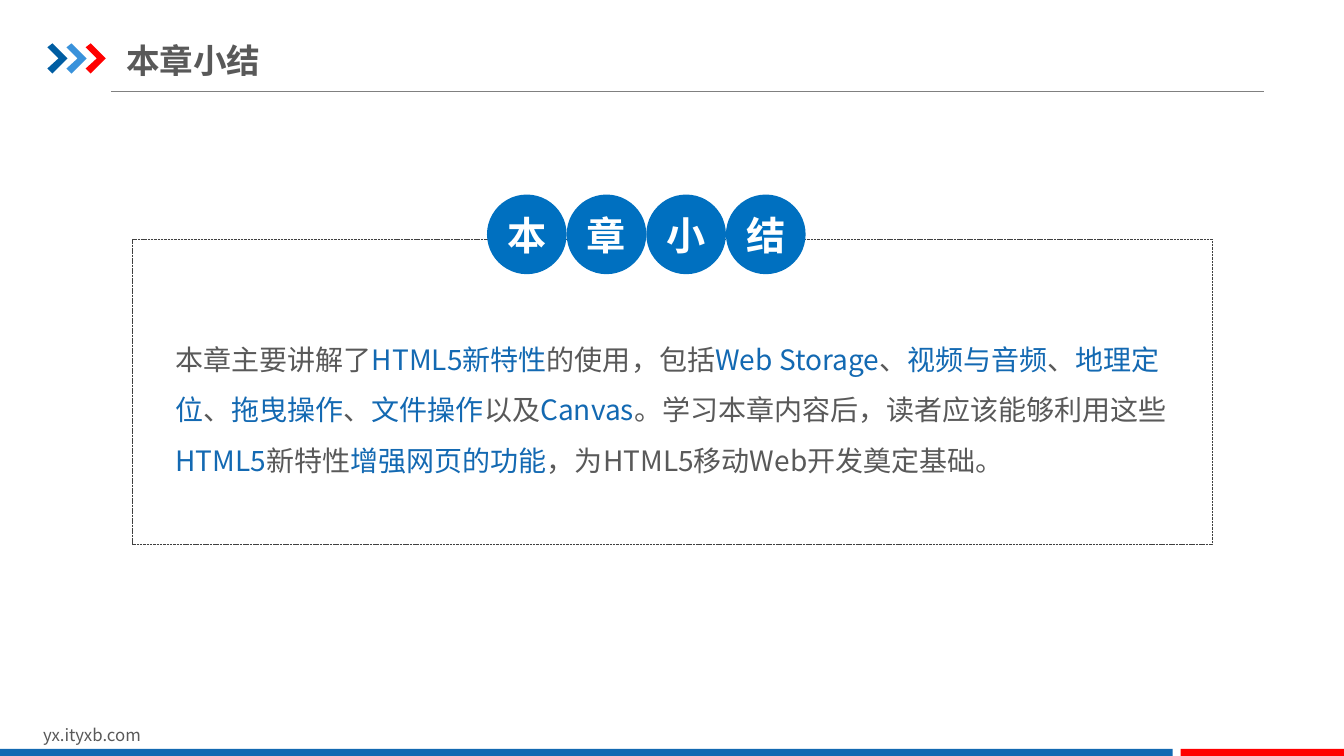
from pptx import Presentation
from pptx import util as u
from pptx.dml import color
from pptx.enum import dml, shapes, text
from pptx.oxml import ns
from lxml import etree

THEME = {
    "font": "Noto Sans CJK SC",
    "colors": {
        "text": "595959", "accent": "1369B2", "circle": "0070C0", "red": "FF0000",
        "navy": "005DA2", "sky": "3992DB", "rule": "808080", "border": "404040",
        "white": "FFFFFF",
    },
    "sizes": {"title": 24, "circle": 28, "body": 20, "footer": 12},
}


def rgb(name):
    return color.RGBColor.from_string(THEME["colors"][name])


def write(shape, segments, size, frame_format, paragraph_format, bold=False):
    frame = shape.text_frame
    for name, value in frame_format.items():
        setattr(frame, name, value)
    paragraph = frame.paragraphs[0]
    for name, value in paragraph_format.items():
        setattr(paragraph, name, value)
    for words, color_name in segments:
        run = paragraph.add_run()
        run.text = words
        font_format = {"name": THEME["font"], "size": u.Pt(THEME["sizes"][size]), "bold": bold}
        for name, value in font_format.items():
            setattr(run.font, name, value)
        run.font.color.rgb = rgb(color_name)
        east_asian = etree.SubElement(run.font._element, ns.qn("a:ea"))
        east_asian.set("typeface", THEME["font"])


presentation = Presentation()
presentation.slide_width = u.Inches(13.33)
presentation.slide_height = u.Inches(7.5)
slide = presentation.slides.add_slide(presentation.slide_layouts[5])

NO_MARGINS = {"margin_left": 0, "margin_right": 0, "margin_top": 0, "margin_bottom": 0}
LEFT = {"alignment": text.PP_ALIGN.LEFT}

title = slide.shapes.title
title_box = {"left": 1.25, "top": 0.36, "width": 5.26, "height": 0.48}
for name, value in title_box.items():
    setattr(title, name, u.Inches(value))
title_frame = {
    **NO_MARGINS, "vertical_anchor": text.MSO_ANCHOR.MIDDLE,
    "auto_size": text.MSO_AUTO_SIZE.NONE, "word_wrap": True,
}
write(title, [("本章小结", "text")], "title", title_frame, LEFT, bold=True)

rule = slide.shapes.add_connector(
    shapes.MSO_CONNECTOR.STRAIGHT,
    u.Inches(1.1), u.Inches(0.91), u.Inches(12.54), u.Inches(0.91))
rule.line.color.rgb = rgb("rule")
rule.line.width = u.Pt(0.75)
etree.SubElement(rule._element.spPr, ns.qn("a:effectLst"))

CHEVRON = [(0, 0.04), (0.05, 0), (0.2, 0.15), (0.05, 0.3), (0, 0.25), (0.11, 0.15)]
for index, color_name in enumerate(["navy", "sky", "red"]):
    left = 0.47 + index * 0.19
    points = [(u.Inches(left + x), u.Inches(0.43 + y)) for x, y in CHEVRON]
    builder = slide.shapes.build_freeform(*points[0])
    builder.add_line_segments(points[1:], close=True)
    chevron = builder.convert_to_shape()
    chevron.shadow.inherit = False
    chevron.fill.solid()
    chevron.fill.fore_color.rgb = rgb(color_name)
    chevron.line.fill.background()

footer = slide.shapes.add_textbox(u.Inches(0.33), u.Inches(7.14), u.Inches(3.18), u.Inches(0.3))
write(footer, [("yx.ityxb.com", "text")], "footer", {"word_wrap": True}, LEFT)

for left, width, color_name in [(0, 11.63, "accent"), (11.71, 1.62, "red")]:
    bar = slide.shapes.add_shape(
        shapes.MSO_SHAPE.RECTANGLE,
        u.Inches(left), u.Inches(7.43), u.Inches(width), u.Inches(0.09))
    bar.shadow.inherit = False
    bar.fill.solid()
    bar.fill.fore_color.rgb = rgb(color_name)
    bar.line.fill.background()

border = slide.shapes.add_shape(
    shapes.MSO_SHAPE.ROUNDED_RECTANGLE,
    u.Inches(1.31), u.Inches(2.37), u.Inches(10.71), u.Inches(3.03))
border.adjustments[0] = 0
border.shadow.inherit = False
border.fill.background()
border.line.color.rgb = rgb("border")
border.line.width = u.Pt(0.25)
border.line.dash_style = dml.MSO_LINE.SQUARE_DOT

SUMMARY = [
    ("本章主要讲解了", "text"), ("HTML5新特性", "accent"),
    ("的使用，包括", "text"), ("Web Storage", "accent"),
    ("、", "text"), ("视频与音频", "accent"),
    ("、", "text"), ("地理定位", "accent"),
    ("、", "text"), ("拖曳操作", "accent"),
    ("、", "text"), ("文件操作", "accent"),
    ("以及", "text"), ("Canvas", "accent"),
    ("。学习本章内容后，读者应该能够利用这些", "text"), ("HTML5", "accent"),
    ("新特性", "text"), ("增强网页的功能", "accent"),
    ("，为HTML5移动Web开发奠定基础。", "text"),
]
summary = slide.shapes.add_textbox(u.Inches(1.74), u.Inches(3.23), u.Inches(9.84), u.Inches(1.46))
write(summary, SUMMARY, "body", {**NO_MARGINS, "word_wrap": True}, {**LEFT, "line_spacing": 1.5})

DIAMETER = 0.79
for index, character in enumerate("本章小结"):
    circle = slide.shapes.add_shape(
        shapes.MSO_SHAPE.OVAL,
        u.Inches(4.83 + index * DIAMETER), u.Inches(1.93), u.Inches(DIAMETER), u.Inches(DIAMETER))
    circle.shadow.inherit = False
    circle.fill.solid()
    circle.fill.fore_color.rgb = rgb("circle")
    circle.line.fill.background()
    write(circle, [(character, "white")], "circle",
          {**NO_MARGINS, "vertical_anchor": text.MSO_ANCHOR.MIDDLE},
          {"alignment": text.PP_ALIGN.CENTER}, bold=True)

presentation.save("out.pptx")
